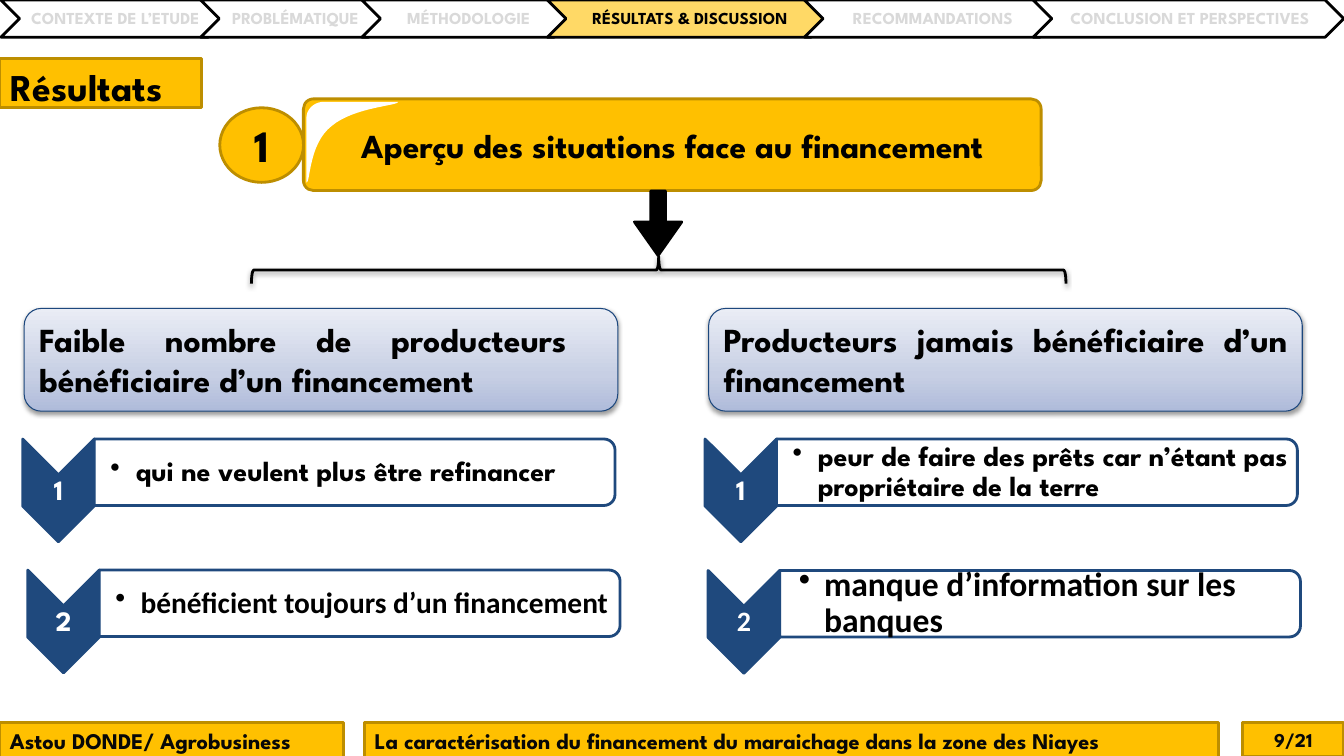
from lxml import etree
from pptx import Presentation
from pptx.dml.color import RGBColor
from pptx.enum.shapes import MSO_SHAPE as Form
from pptx.enum.text import MSO_ANCHOR as Anchor, MSO_AUTO_SIZE as Auto, PP_ALIGN as Align
from pptx.oxml import parse_xml
from pptx.oxml.ns import qn
from pptx.util import Pt

FONT = "League Spartan"
NAVY, GOLD, RIM = "1F497D", "FFC000", "BD8E00"
BLACK, WHITE, GREY, INK = "000000", "FFFFFF", "D9D9D9", "080808"
NS = 'xmlns:a="http://schemas.openxmlformats.org/drawingml/2006/main"'
PAD = (7.2, 3.6, 7.2, 3.6)
TIGHT = (0.9, 0.9, 0.9, 0.9)


def color(code):
    return RGBColor.from_string(code)


def paint(shape, fill, line, width=2):
    if fill:
        shape.fill.solid()
        shape.fill.fore_color.rgb = color(fill)
    else:
        shape.fill.background()
    if line:
        shape.line.color.rgb = color(line)
        shape.line.width = Pt(width)
    else:
        shape.line.fill.background()


def place(shape, box):
    shape.left, shape.top, shape.width, shape.height = map(Pt, box)


def draw(slide, form, box, fill, line, turn=0, adj=(), width=2):
    """Draw a preset shape; box is the area it covers once turned."""
    x, y, w, h = box
    if turn:
        x, y, w, h = x + (w - h) / 2, y + (h - w) / 2, h, w
    shape = slide.shapes.add_shape(form, *map(Pt, (x, y, w, h)))
    shape.rotation = turn
    shape.shadow.inherit = False
    paint(shape, fill, line, width)
    for i, value in enumerate(adj):
        shape.adjustments[i] = value
    return shape


def write(shape, text, size, ink=BLACK, align=Align.LEFT, anchor=Anchor.TOP,
          pad=PAD, font=FONT, space=None):
    frame = shape.text_frame
    frame.auto_size = Auto.NONE
    frame.word_wrap = True
    frame.vertical_anchor = anchor
    (frame.margin_left, frame.margin_top,
     frame.margin_right, frame.margin_bottom) = map(Pt, pad)
    para = frame.paragraphs[0]
    para.alignment = align
    if space:
        para.line_spacing = space
    run = para.add_run()
    run.text = text
    run.font.size, run.font.bold, run.font.name = Pt(size), True, font
    run.font.color.rgb = color(ink)
    return para


def label(slide, box, *args, **style):
    return write(slide.shapes.add_textbox(*map(Pt, box)), *args,
                 anchor=Anchor.MIDDLE, space=0.9, **style)


def shade(shape):
    """Give the shape a soft shadow below it."""
    props = shape._element.spPr
    props.remove(props.find(qn("a:effectLst")))
    props.append(parse_xml(
        f'<a:effectLst {NS}><a:outerShdw blurRad="{Pt(3.1)}" dist="{Pt(1.6)}" '
        f'dir="5400000" rotWithShape="0"><a:srgbClr val="{BLACK}">'
        '<a:alpha val="38000"/></a:srgbClr></a:outerShdw></a:effectLst>'))


def fade(shape, stops):
    """Swap the plain fill for a gradient that rises from the bottom."""
    marks = "".join(f'<a:gs pos="{at * 1000}"><a:srgbClr val="{code}"/></a:gs>'
                    for at, code in stops)
    props = shape._element.spPr
    props.replace(props.find(qn("a:solidFill")), parse_xml(
        f'<a:gradFill {NS} rotWithShape="1"><a:gsLst>{marks}</a:gsLst>'
        '<a:lin ang="16200000" scaled="0"/></a:gradFill>'))


def head(slide, x, text, right=7.2):
    box = draw(slide, Form.ROUNDED_RECTANGLE, (x, 220.3, 424, 73.4),
               WHITE, "1C477D", width=0.75)
    fade(box, [(0, "AFBBDA"), (35, "C7CFE4"), (100, "EAEDF5")])
    shade(box)
    write(box, text, 24, align=Align.JUSTIFY, pad=(7.2, 3.6, right, 3.6))


def step(slide, x, y, num, text, size, font=FONT, mark=FONT, inset=11.5):
    """Draw a numbered chevron followed by a bulleted bar."""
    draw(slide, Form.CHEVRON, (x, y, 51.1, 73.4), NAVY, NAVY, 90)
    label(slide, (x, y + 26.2, 51.1, 22.3), num, 20, WHITE,
          align=Align.CENTER, pad=TIGHT, font=mark)
    bar = draw(slide, Form.ROUND_2_SAME_RECTANGLE,
               (x + 51.1, y, 372, 47.5), WHITE, NAVY, 90)
    tint = bar._element.spPr.find(qn("a:solidFill"))[0]
    etree.SubElement(tint, qn("a:alpha")).set("val", "90000")
    para = label(slide, (x + 51.1, y + 2.3, 370, 43.2), text, size,
                 pad=(inset, 0.9, 0.9, 0.9), font=font)
    props = para._p.get_or_add_pPr()
    props.set("marL", str(Pt(18)))
    props.set("indent", str(Pt(-18)))
    etree.SubElement(props, qn("a:buChar")).set("char", "•")


def curve(a, b, c, d, count=16):
    """Points along a cubic curve, without its first point."""
    for i in range(1, count + 1):
        t = i / count
        u = 1 - t
        yield tuple(u**3 * p + 3 * u * u * t * q + 3 * u * t * t * r + t**3 * s
                    for p, q, r, s in zip(a, b, c, d))


def gloss(slide):
    """White highlight in the corner of the banner."""
    top, side, foot = (231.8, 72.7), (218.9, 84.2), (218.9, 130.3)
    mid, tip = (236.9, 90), (284.4, 72.7)
    points = [*curve(top, (224.6, 72.7), (218.9, 77.8), side), foot,
              *curve(foot, (221.8, 131), (220.3, 103), mid),
              *curve(mid, (253.4, 76.3), (285.1, 75.6), tip)]
    pen = slide.shapes.build_freeform(*map(Pt, top), scale=1.0)
    pen.add_line_segments([tuple(map(Pt, p)) for p in points], close=True)
    shape = pen.convert_to_shape()
    shape.shadow.inherit = False
    paint(shape, WHITE, None)


def main():
    deck = Presentation()
    deck.slide_width, deck.slide_height = Pt(960), Pt(540)
    slide = deck.slides.add_slide(deck.slide_layouts[5])

    # Title
    title = slide.shapes.title
    place(title, (0, 41.8, 144, 35.3))
    paint(title, GOLD, RIM)
    write(title, "Résultats", 27)

    # Two columns of findings
    head(slide, 17.3, "Faible nombre de producteurs bénéficiaire d’un financement", 33)
    step(slide, 16.2, 313.6, "1", "qui ne veulent plus être refinancer", 20)
    step(slide, 19.8, 407.2, "2", "bénéficient toujours d’un financement", 21, "Calibri")
    head(slide, 506.2, "Producteurs jamais bénéficiaire d’un financement")
    step(slide, 503.6, 313.6, "1",
         "peur de faire des prêts car n’étant pas propriétaire de la terre", 20)
    step(slide, 505.8, 407.5, "2", "manque d’information sur les banques", 24,
         "Calibri", "Calibri", 13.7)

    # Navigation trail
    trail = [(0.7, 161.3, "CONTEXTE DE L’ETUDE"), (143.3, 133.2, "PROBLÉMATIQUE"),
             (258.5, 150.5, "MÉTHODOLOGIE"), (391, 201.6, "RÉSULTATS & DISCUSSION"),
             (574.6, 181.4, "RECOMMANDATIONS"),
             (738, 221.8, "CONCLUSION ET PERSPECTIVES")]
    for i, (x, w, text) in enumerate(trail):
        here = i == 3
        link = draw(slide, Form.CHEVRON, (x, 0, w, 26.6),
                    "FFD966" if here else WHITE, BLACK)
        write(link, text, 12, BLACK if here else GREY, Align.CENTER,
              Anchor.MIDDLE, (3.6, 1.4, 1.4, 1.4), space=0.9)

    # Banner, arrow, number and brace
    banner = draw(slide, Form.ROUNDED_RECTANGLE, (216.7, 70.6, 527, 65.5),
                  GOLD, RIM, adj=[0.11])
    write(banner, "Aperçu des situations face au financement", 24,
          align=Align.CENTER, anchor=Anchor.MIDDLE)
    gloss(slide)
    draw(slide, Form.LEFT_ARROW, (453.2, 136.4, 33.8, 46.1), BLACK, BLACK,
         270, [0.31, 0.71])
    disc = draw(slide, Form.FLOWCHART_CONNECTOR, (157, 77, 59.8, 53.3), GOLD, RIM)
    write(disc, "1", 32, align=Align.CENTER, anchor=Anchor.MIDDLE)
    shade(draw(slide, Form.LEFT_BRACE, (179.6, 183.2, 581.8, 19.4), None, BLACK, 90))

    # Footer
    page = draw(slide, Form.RECTANGLE, (887.8, 516.2, 72, 24.5), GOLD, RIM)
    write(page, "9/21", 14, INK, Align.CENTER, Anchor.MIDDLE, (9.4, 5, 9.4, 5))
    for x, w, text in [
            (0, 245.5, "Astou DONDE/ Agrobusiness"),
            (260.6, 609.8,
             "La caractérisation du financement du maraichage dans la zone des Niayes")]:
        write(draw(slide, Form.RECTANGLE, (x, 516.2, w, 26.6), GOLD, RIM), text, 16, INK)

    deck.save("out.pptx")


if __name__ == "__main__":
    main()
